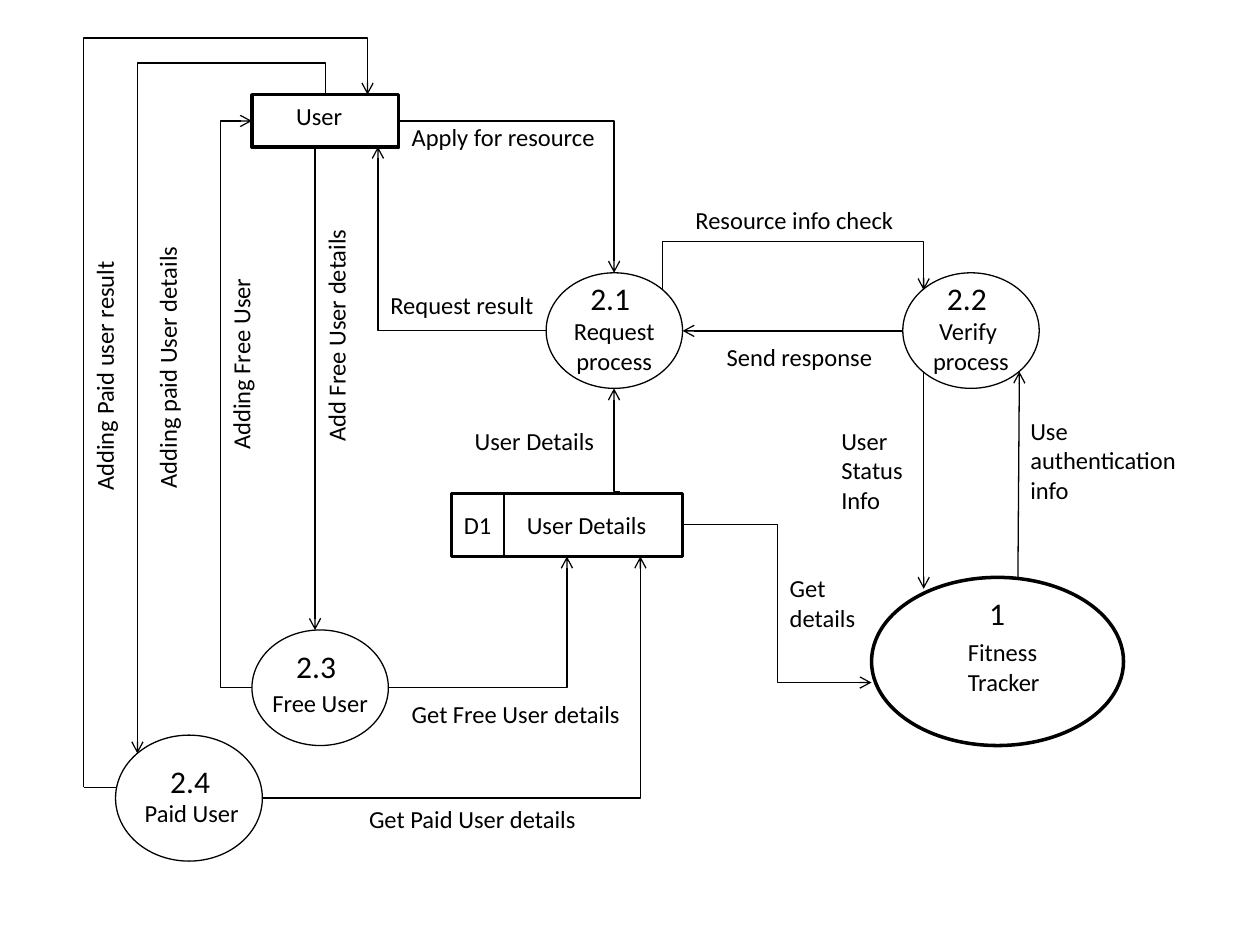
from lxml.etree import SubElement
from pptx import Presentation
from pptx.dml.color import RGBColor
from pptx.enum.shapes import MSO_CONNECTOR, MSO_SHAPE
from pptx.enum.text import MSO_ANCHOR, PP_ALIGN
from pptx.oxml.ns import qn
from pptx.util import Cm, Pt

BLACK = "000000"
FONT = "Calibri"
THIN, THICK = 0.75, 2
LINE_HEIGHT = 0.6


def color(value):
    return RGBColor.from_string(value)


def write_lines(frame, lines, size, alignment=PP_ALIGN.LEFT):
    for index, line in enumerate(lines):
        paragraph = frame.paragraphs[0] if index == 0 else frame.add_paragraph()
        paragraph.alignment = alignment
        run = paragraph.add_run()
        run.text = line
        run.font.name = FONT
        run.font.size = Pt(size)
        run.font.color.rgb = color(BLACK)


def add_text(slide, left, top, width, lines, size=14):
    height = 0.26 + LINE_HEIGHT * len(lines) * size / 14
    box = slide.shapes.add_textbox(Cm(left), Cm(top), Cm(width), Cm(height))
    box.text_frame.word_wrap = True
    write_lines(box.text_frame, lines, size)
    return box


def add_vertical_text(slide, center_x, center_y, length, text):
    box = add_text(slide, center_x - length / 2, center_y - 0.43, length, [text])
    box.rotation = 270


def add_outline(slide, kind, box, weight):
    shape = slide.shapes.add_shape(kind, *(Cm(value) for value in box))
    shape.shadow.inherit = False
    shape.fill.background()
    shape.line.color.rgb = color(BLACK)
    shape.line.width = Pt(weight)
    return shape


def add_line(slide, start, end, arrow=True, kind=MSO_CONNECTOR.STRAIGHT):
    connector = slide.shapes.add_connector(kind, *(Cm(value) for value in start + end))
    connector.line.color.rgb = color(BLACK)
    connector.line.width = Pt(THIN)
    properties = connector._element.spPr
    if arrow:
        SubElement(properties.find(qn("a:ln")), qn("a:tailEnd"), type="arrow")
    SubElement(properties, qn("a:effectLst"))
    return connector


def add_corner(slide, start, end):
    connector = add_line(slide, start, end, kind=MSO_CONNECTOR.ELBOW)
    connector._element.spPr.find(qn("a:prstGeom")).set("prst", "bentConnector2")


def add_detour(slide, start, end, middle, axis):
    connector = add_line(slide, start, end, kind=MSO_CONNECTOR.ELBOW)
    properties = connector._element.spPr
    share = (middle - start[axis]) / (end[axis] - start[axis])
    geometry = properties.find(qn("a:prstGeom"))
    guides = geometry.find(qn("a:avLst"))
    if guides is None:
        guides = SubElement(geometry, qn("a:avLst"))
    SubElement(guides, qn("a:gd"), name="adj1", fmla=f"val {round(share * 100000)}")
    if axis == 1:
        width, height = connector.width, connector.height
        connector.left += (width - height) // 2
        connector.top += (height - width) // 2
        connector.width, connector.height = height, width
        transform = properties.find(qn("a:xfrm"))
        transform.set("rot", "5400000")
        transform.set("flipH", str(int(end[1] < start[1])))
        transform.set("flipV", str(int(end[0] > start[0])))


def draw_entity(slide, box):
    left, top = box[:2]
    add_outline(slide, MSO_SHAPE.RECTANGLE, box, THICK)
    add_text(slide, left + 0.64, top, 1.45, ["User"])


def draw_store(slide, box):
    left, top, width, height = box
    divider = left + 1.06
    add_outline(slide, MSO_SHAPE.RECTANGLE, box, THICK)
    add_line(slide, (divider, top), (divider, top + height), arrow=False)
    add_text(slide, left, top + 0.21, 1.1, ["D1"])
    add_text(slide, left + 1.27, top + 0.21, 3, ["User Details"])


def draw_process(slide, box, number, lines, number_left=0.64, number_top=0):
    left, top = box[:2]
    frame = add_outline(slide, MSO_SHAPE.OVAL, box, THIN).text_frame
    frame.word_wrap = False
    frame.vertical_anchor = MSO_ANCHOR.MIDDLE
    frame.margin_top = Cm(0.13 + LINE_HEIGHT)
    write_lines(frame, lines, 14, PP_ALIGN.CENTER)
    add_text(slide, left + number_left, top + number_top, 1.4, [number], 18)


def draw_tracker(slide, box):
    left, top = box[:2]
    add_outline(slide, MSO_SHAPE.OVAL, box, THICK)
    add_text(slide, left + 2.12, top + 0.21, 0.9, ["1"], 18)
    add_text(slide, left + 1.69, top + 1.08, 3, ["Fitness", "Tracker"])


def draw_flows(slide):
    for start, end in [
        ((8.05, 2.44), (12.38, 5.5)),
        ((11.01, 6.66), (7.62, 2.96)),
        ((7.83, 13.86), (11.43, 11.22)),
        ((5.29, 16.09), (12.91, 11.22)),
    ]:
        add_corner(slide, start, end)
    for start, end, middle, axis in [
        ((5.09, 13.86), (5.08, 2.44), 4.45, 0),
        ((13.76, 10.58), (17.57, 13.76), 15.67, 0),
        ((13.36, 5.84), (18.62, 5.85), 4.87, 1),
        ((12.49, 9.95), (12.38, 7.83), 9.91, 1),
        ((6.56, 1.91), (2.77, 15.19), 1.27, 1),
        ((1.69, 15.87), (7.41, 1.91), 0.76, 1),
    ]:
        add_detour(slide, start, end, middle, axis)
    for start, end in [
        ((20.52, 11.64), (20.55, 7.49)),
        ((18.62, 7.49), (18.62, 11.87)),
        ((6.35, 2.97), (6.35, 12.7)),
        ((18.2, 6.67), (13.76, 6.67)),
    ]:
        add_line(slide, start, end)
    add_line(slide, (1.69, 15.87), (2.33, 15.87), arrow=False)


def draw_labels(slide):
    for left, top, width, lines in [
        (8.05, 2.34, 4.4, ["Apply for resource"]),
        (13.77, 4.01, 4.6, ["Resource info check"]),
        (20.52, 8.26, 3.65, ["Use", "authentication", "info"]),
        (16.71, 8.46, 1.9, ["User", "Status", "Info"]),
        (8.05, 13.97, 4.8, ["Get Free User details"]),
        (7.62, 5.72, 3.5, ["Request result"]),
        (9.32, 8.46, 3, ["User Details"]),
        (7.19, 16.08, 4.8, ["Get Paid User details"]),
        (15.67, 11.43, 1.9, ["Get", "details"]),
        (14.4, 6.78, 3.55, ["Send response"]),
    ]:
        add_text(slide, left, top, width, lines)
    for center_x, center_y, length, text in [
        (6.78, 6.73, 4.85, "Add Free User details"),
        (4.86, 7.32, 4, "Adding Free User"),
        (3.38, 7.37, 5.45, "Adding paid User details"),
        (2.11, 7.54, 5.2, "Adding Paid user result"),
    ]:
        add_vertical_text(slide, center_x, center_y, length, text)


def main():
    presentation = Presentation()
    presentation.slide_width, presentation.slide_height = Cm(25.4), Cm(19.05)
    slide = presentation.slides.add_slide(presentation.slide_layouts[6])
    draw_tracker(slide, (17.57, 11.64, 5.08, 3.39))
    draw_entity(slide, (5.08, 1.91, 2.96, 1.06))
    draw_store(slide, (9.1, 9.95, 4.66, 1.27))
    draw_process(slide, (11.01, 5.5, 2.75, 2.33), "2.1", ["Request", "process"])
    draw_process(slide, (18.2, 5.5, 2.75, 2.33), "2.2", ["Verify ", "process"])
    draw_process(slide, (5.08, 12.7, 2.75, 2.33), "2.3", ["Free User"], number_top=0.21)
    draw_process(slide, (2.33, 14.82, 2.96, 2.54), "2.4", [" Paid User"], 0.85, 0.42)
    draw_flows(slide)
    draw_labels(slide)
    presentation.save("out.pptx")


if __name__ == "__main__":
    main()
